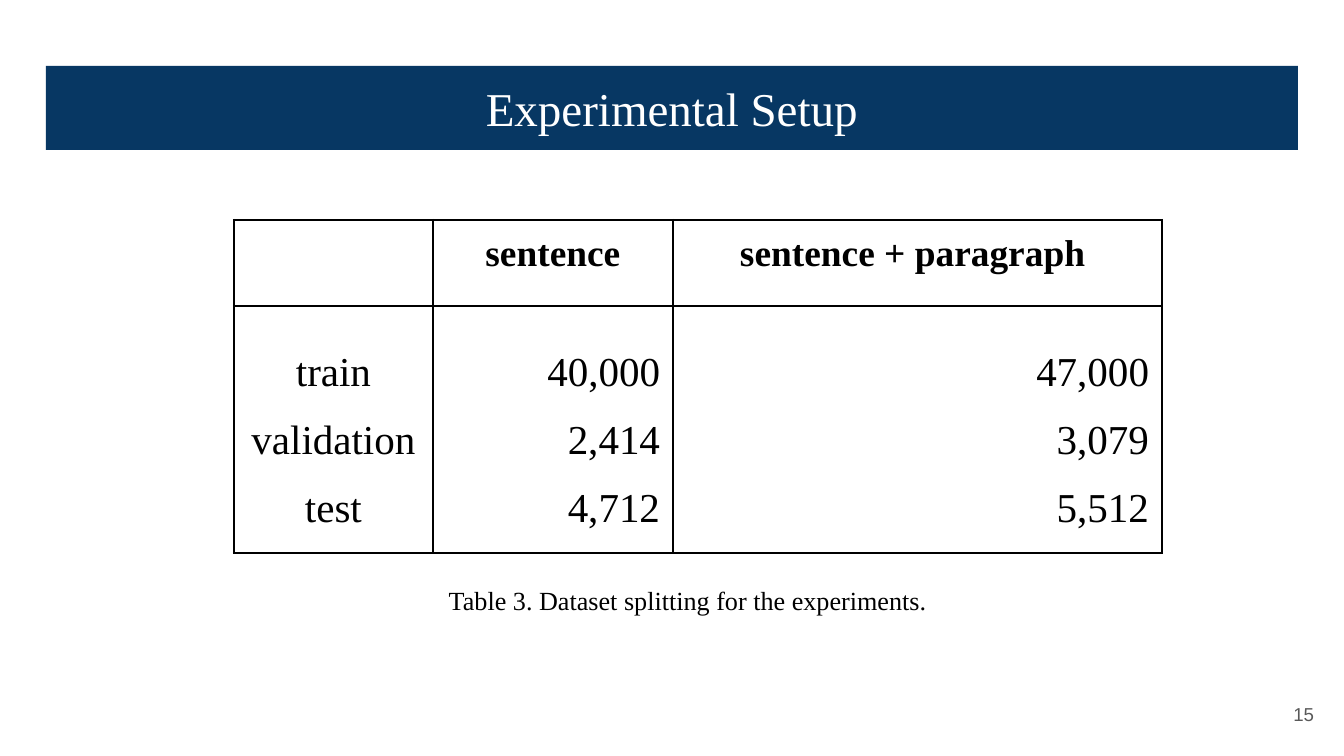
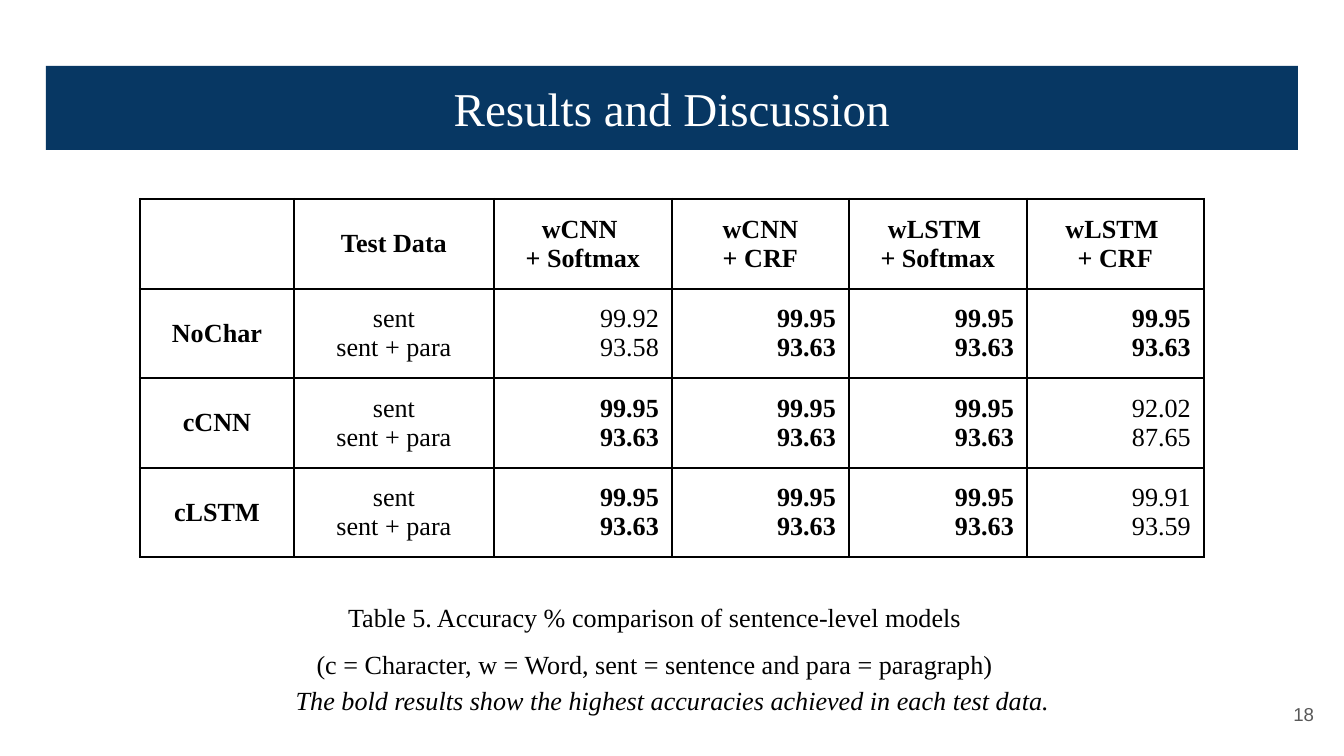
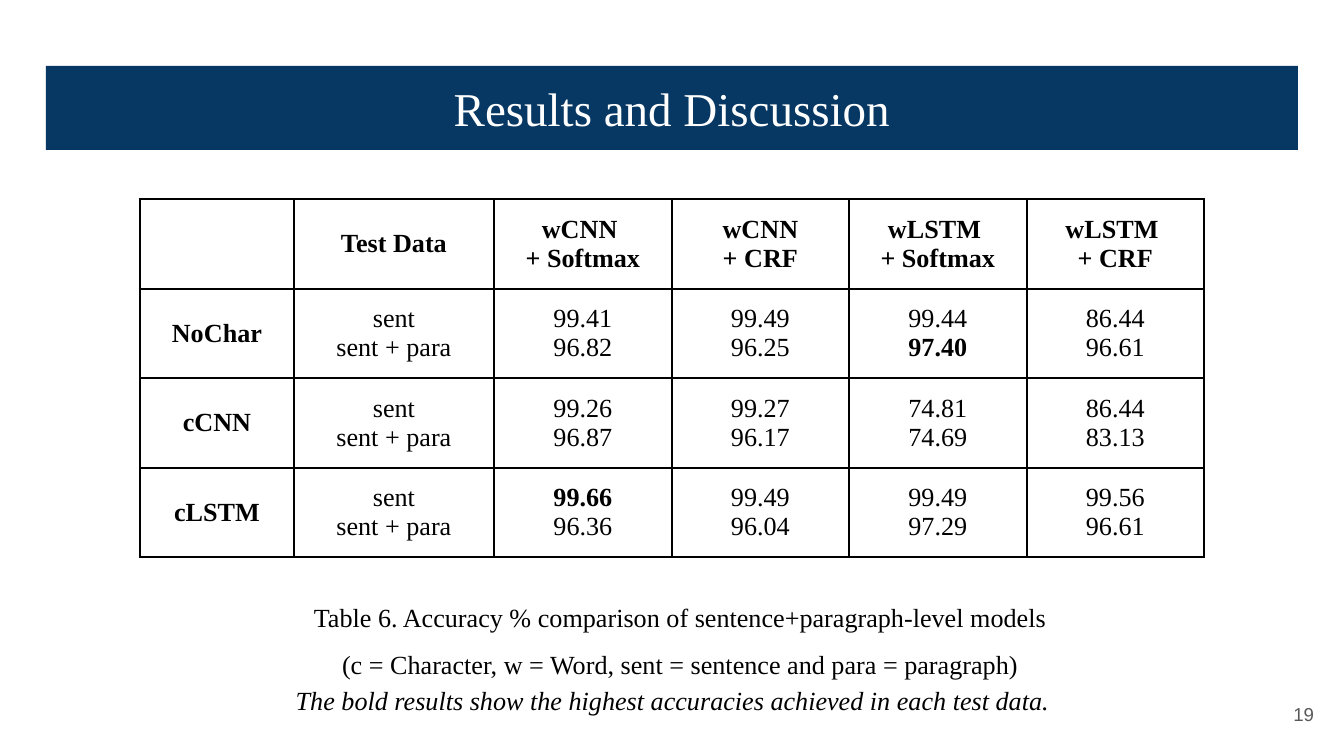
"""Builds three slides: a dataset split table and two accuracy tables."""
import dataclasses
import typing

import lxml.etree
import pptx
import pptx.dml.color
import pptx.enum.text
import pptx.oxml.ns
import pptx.util

ALIGN = pptx.enum.text.PP_ALIGN
ANCHOR = pptx.enum.text.MSO_ANCHOR
EMU_PER_PX = 914400 / 134.4
NAVY, WHITE, BLACK, GREY = "073763", "FFFFFF", "000000", "595959"
SERIF, SANS = "Times New Roman", "Arial"
INSET = 13
BORDER_PT = 1.5

Lines = list[str]


@dataclasses.dataclass(frozen=True)
class Box:
    """A rectangle in pixels."""
    left: int
    top: int
    width: int
    height: int


@dataclasses.dataclass(frozen=True)
class Style:
    """How the paragraphs of a text look."""
    size: float = 14
    color: str = BLACK
    name: str = SERIF
    bold: bool = False
    italic: bool = False
    alignment: ALIGN = ALIGN.CENTER
    line_spacing: float = 1.0
    anchor: ANCHOR = ANCHOR.TOP


@dataclasses.dataclass(frozen=True)
class Cell:
    """Lines of one table cell, with the lines to set in bold."""
    lines: Lines
    style: Style
    bold_lines: tuple[str, ...] = ()


TITLE_BOX = Box(46, 66, 1252, 84)
NUMBER_BOX = Box(1246, 685, 81, 58)
NOTE_BOX = Box(191, 671, 964, 59)

TITLE = Style(size=25.2, color=WHITE)
NUMBER = Style(size=10, color=GREY, name=SANS, alignment=ALIGN.RIGHT, anchor=ANCHOR.MIDDLE)
CAPTION = Style()
LONG_CAPTION = Style(line_spacing=1.5)
NOTE = Style(italic=True)
HEAD = Style(bold=True, anchor=ANCHOR.MIDDLE)
BODY = Style(anchor=ANCHOR.MIDDLE)
SPLIT_HEAD = Style(size=20, bold=True)
SPLIT_BODY = Style(size=22, line_spacing=1.5, anchor=ANCHOR.MIDDLE)

TEST_DATA = ["sent", "sent + para"]
MODEL_HEADS = [[], ["Test Data"], ["wCNN ", "+ Softmax"], ["wCNN", "+ CRF"],
               ["wLSTM ", "+ Softmax"], ["wLSTM ", "+ CRF"]]
LEGEND = "(c = Character, w = Word, sent = sentence and para = paragraph)"
BOLD_NOTE = "The bold results show the highest accuracies achieved in each test data."


def px(n: float) -> int:
    """Turn pixels into EMU."""
    return round(n * EMU_PER_PX)


def rgb(color: str) -> pptx.dml.color.RGBColor:
    """Turn a hex string into a colour."""
    return pptx.dml.color.RGBColor.from_string(color)


def set_all(obj: typing.Any, values: dict[str, typing.Any]) -> None:
    """Set each attribute named in values."""
    for name, value in values.items():
        setattr(obj, name, value)


def place(sp: typing.Any, box: Box) -> None:
    """Move and size a shape."""
    set_all(sp, {k: px(v) for k, v in dataclasses.asdict(box).items()})


def write(tf: typing.Any, lines: Lines, style: Style, bold_lines: tuple[str, ...] = ()) -> None:
    """Write one paragraph per line into a text frame."""
    for i, line in enumerate(lines):
        p = tf.paragraphs[0] if i == 0 else tf.add_paragraph()
        set_all(p, {"alignment": style.alignment, "line_spacing": style.line_spacing})
        r = p.add_run()
        r.text = line
        set_all(r.font, {"size": pptx.util.Pt(style.size), "name": style.name,
                         "bold": style.bold or line in bold_lines, "italic": style.italic})
        r.font.color.rgb = rgb(style.color)


def fill_frame(sp: typing.Any, box: Box, lines: Lines, style: Style) -> None:
    """Place a text shape and write its lines."""
    place(sp, box)
    tf = sp.text_frame
    margins = {f"margin_{side}": px(INSET) for side in ("left", "right", "top", "bottom")}
    set_all(tf, {**margins, "word_wrap": True, "vertical_anchor": style.anchor,
                 "auto_size": pptx.enum.text.MSO_AUTO_SIZE.NONE})
    write(tf, lines, style)


def add_text(slide: typing.Any, box: Box, lines: Lines, style: Style) -> None:
    """Add a text box."""
    fill_frame(slide.shapes.add_textbox(0, 0, 0, 0), box, lines, style)


def add_borders(cell: typing.Any) -> None:
    """Draw a black line on all four sides of a cell."""
    tc_pr = cell._tc.get_or_add_tcPr()
    qn = pptx.oxml.ns.qn
    for i, side in enumerate(("a:lnL", "a:lnR", "a:lnT", "a:lnB")):
        ln = lxml.etree.Element(qn(side), w=str(pptx.util.Pt(BORDER_PT)))
        fill = lxml.etree.SubElement(ln, qn("a:solidFill"))
        lxml.etree.SubElement(fill, qn("a:srgbClr"), val=BLACK)
        tc_pr.insert(i, ln)


def add_grid(slide: typing.Any, left: int, top: int, widths: list[int],
             heights: list[int], rows: list[list[Cell]]) -> None:
    """Add a bordered table without fill."""
    table = slide.shapes.add_table(len(heights), len(widths), px(left), px(top),
                                   px(sum(widths)), px(sum(heights))).table
    set_all(table, {"first_row": False, "horz_banding": False})
    for col, width in zip(table.columns, widths):
        col.width = px(width)
    for row, height, contents in zip(table.rows, heights, rows):
        row.height = px(height)
        for cell, content in zip(row.cells, contents):
            margins = {f"margin_{s}": px(INSET) for s in ("left", "right", "top", "bottom")}
            set_all(cell, {**margins, "vertical_anchor": content.style.anchor})
            cell.fill.background()
            add_borders(cell)
            write(cell.text_frame, content.lines, content.style, content.bold_lines)


def add_slide(prs: typing.Any, title: str, number: int) -> typing.Any:
    """Add a slide with the title band and page number."""
    slide = prs.slides.add_slide(prs.slide_layouts[5])
    sp = slide.shapes.title
    fill_frame(sp, TITLE_BOX, [title], TITLE)
    sp.fill.solid()
    sp.fill.fore_color.rgb = rgb(NAVY)
    add_text(slide, NUMBER_BOX, [str(number)], NUMBER)
    return slide


def add_split_slide(prs: typing.Any) -> None:
    """Add the slide on dataset splitting."""
    slide = add_slide(prs, "Experimental Setup", 15)
    heads = [[], ["sentence"], ["sentence + paragraph "]]
    counts = dataclasses.replace(SPLIT_BODY, alignment=ALIGN.RIGHT)
    rows = [[Cell(lines, SPLIT_HEAD) for lines in heads],
            [Cell(["train", "validation", "test"], SPLIT_BODY),
             Cell(["40,000", "2,414", "4,712"], counts),
             Cell(["47,000", "3,079", "5,512"], counts)]]
    add_grid(slide, 234, 220, [199, 240, 489], [86, 247], rows)
    add_text(slide, Box(313, 571, 750, 59),
             ["Table 3. Dataset splitting for the experiments."], CAPTION)


def add_result_slide(prs: typing.Any, number: int, caption: str, caption_box: Box,
                     alignment: ALIGN, results: dict[str, list[Lines]]) -> None:
    """Add an accuracy slide; the best value for each test data is bold."""
    slide = add_slide(prs, "Results and Discussion", number)
    pairs = [pair for row in results.values() for pair in row]
    best = tuple(max(values, key=float) for values in zip(*pairs))
    figures = dataclasses.replace(BODY, alignment=alignment)
    rows = [[Cell(lines, HEAD) for lines in MODEL_HEADS]]
    for model, row in results.items():
        rows.append([Cell([model], HEAD), Cell(TEST_DATA, BODY)]
                    + [Cell(pair, figures, best) for pair in row])
    add_grid(slide, 140, 199, [154, 200] + [178, 177] * 2, [90, 89] * 2, rows)
    add_text(slide, caption_box, [caption, LEGEND], LONG_CAPTION)
    add_text(slide, NOTE_BOX, [BOLD_NOTE], NOTE)


def main() -> None:
    """Build and save the slides."""
    prs = pptx.Presentation()
    set_all(prs, {"slide_width": px(1344), "slide_height": px(756)})
    add_split_slide(prs)
    top = ["99.95", "93.63"]
    add_result_slide(
        prs, 18, "Table 5. Accuracy % comparison of sentence-level models",
        Box(280, 573, 750, 106), ALIGN.RIGHT,
        {"NoChar": [["99.92", "93.58"], top, top, top],
         "cCNN": [top, top, top, ["92.02", "87.65"]],
         "cLSTM": [top, top, top, ["99.91", "93.59"]]})
    add_result_slide(
        prs, 19, "Table 6. Accuracy % comparison of sentence+paragraph-level models",
        Box(257, 573, 847, 106), ALIGN.CENTER,
        {"NoChar": [["99.41", "96.82"], ["99.49", "96.25"], ["99.44", "97.40"], ["86.44", "96.61"]],
         "cCNN": [["99.26", "96.87"], ["99.27", "96.17"], ["74.81", "74.69"], ["86.44", "83.13"]],
         "cLSTM": [["99.66", "96.36"], ["99.49", "96.04"], ["99.49", "97.29"], ["99.56", "96.61"]]})
    prs.save("out.pptx")


main()
